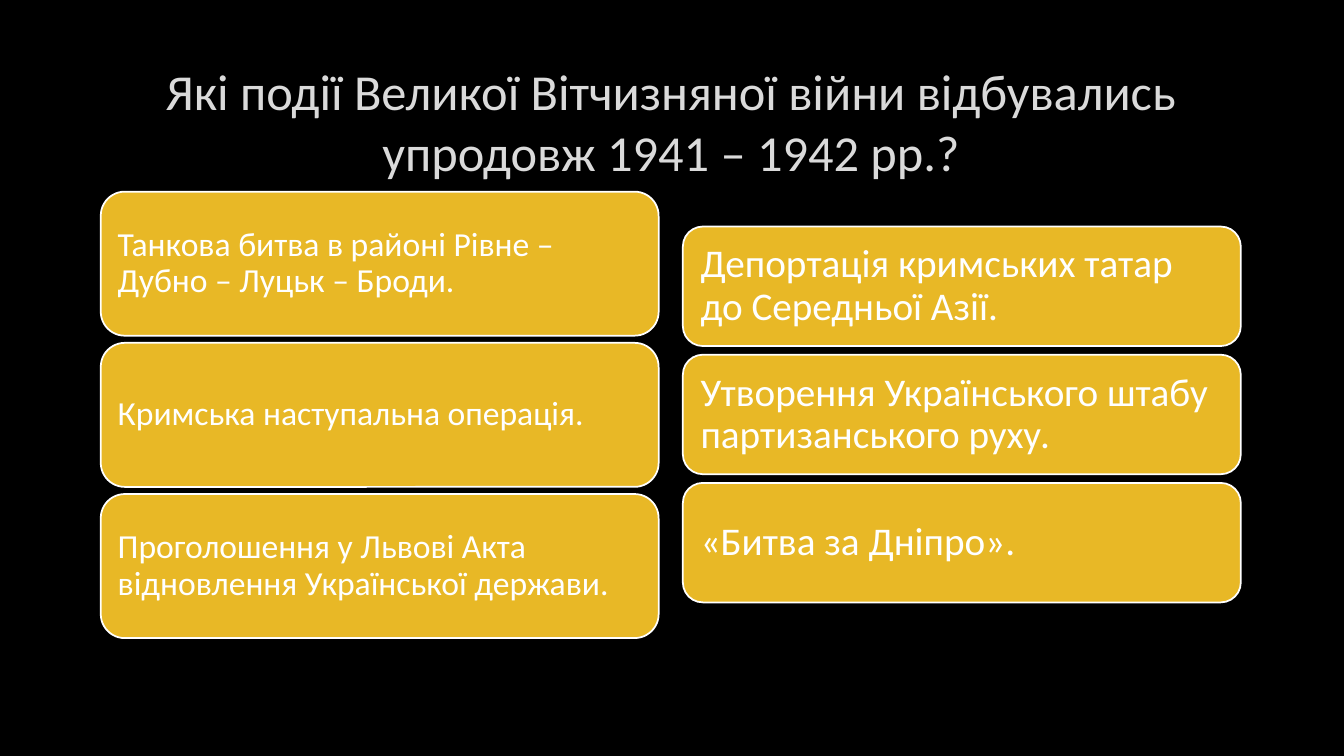
from pptx import Presentation
from pptx.dml.color import RGBColor
from pptx.enum import shapes, text
from pptx.util import Cm, Pt


def paint(color_format, hex_color):
    """Give a fill, or the fill of a line, one solid colour."""
    color_format.solid()
    color_format.fore_color.rgb = RGBColor.from_string(hex_color)


def write(shape, wording, size, hex_color, alignment):
    frame = shape.text_frame
    frame.word_wrap = True
    frame.auto_size = text.MSO_AUTO_SIZE.NONE
    frame.vertical_anchor = text.MSO_ANCHOR.MIDDLE
    paragraph = frame.paragraphs[0]
    paragraph.text = wording
    paragraph.alignment = alignment
    paragraph.font.name = "Calibri"
    paragraph.font.size = Pt(size)
    paint(paragraph.font.fill, hex_color)
    return frame


presentation = Presentation()
presentation.slide_width = Cm(33.87)
presentation.slide_height = Cm(19.05)
slide = presentation.slides.add_slide(presentation.slide_layouts[6])
paint(slide.background.fill, "000000")

title = slide.shapes.add_textbox(Cm(2.54), Cm(1.7), Cm(28.75), Cm(2.69))
write(title, "Які події Великої Вітчизняної війни відбувались упродовж 1941 – 1942 рр.?",
      36, "DADADA", text.PP_ALIGN.CENTER)

# left, top, card height, step between cards, inset, text size, events
columns = [
    (2.54, 4.83, 3.63, 3.81, 0.25, 24, [
        "Танкова битва в районі Рівне – Дубно – Луцьк – Броди.",
        "Кримська наступальна операція.",
        "Проголошення у Львові Акта відновлення Української держави.",
    ]),
    (17.21, 5.71, 3.01, 3.23, 0.3, 28, [
        "Депортація кримських татар до Середньої Азії.",
        "Утворення Українського штабу партизанського руху.",
        "«Битва за Дніпро».",
    ]),
]

for left, top, height, step, inset, size, events in columns:
    for row, event in enumerate(events):
        card = slide.shapes.add_shape(
            shapes.MSO_SHAPE.ROUNDED_RECTANGLE,
            Cm(left), Cm(top + row * step), Cm(14.06), Cm(height))
        card.shadow.inherit = False
        paint(card.fill, "E8B826")
        paint(card.line.fill, "FFFFFF")
        card.line.width = Pt(1.25)
        frame = write(card, event, size, "FFFFFF", text.PP_ALIGN.LEFT)
        frame.paragraphs[0].line_spacing = 0.9
        frame.margin_left = frame.margin_right = Cm(inset)
        frame.margin_top = frame.margin_bottom = Cm(inset)

presentation.save("out.pptx")
